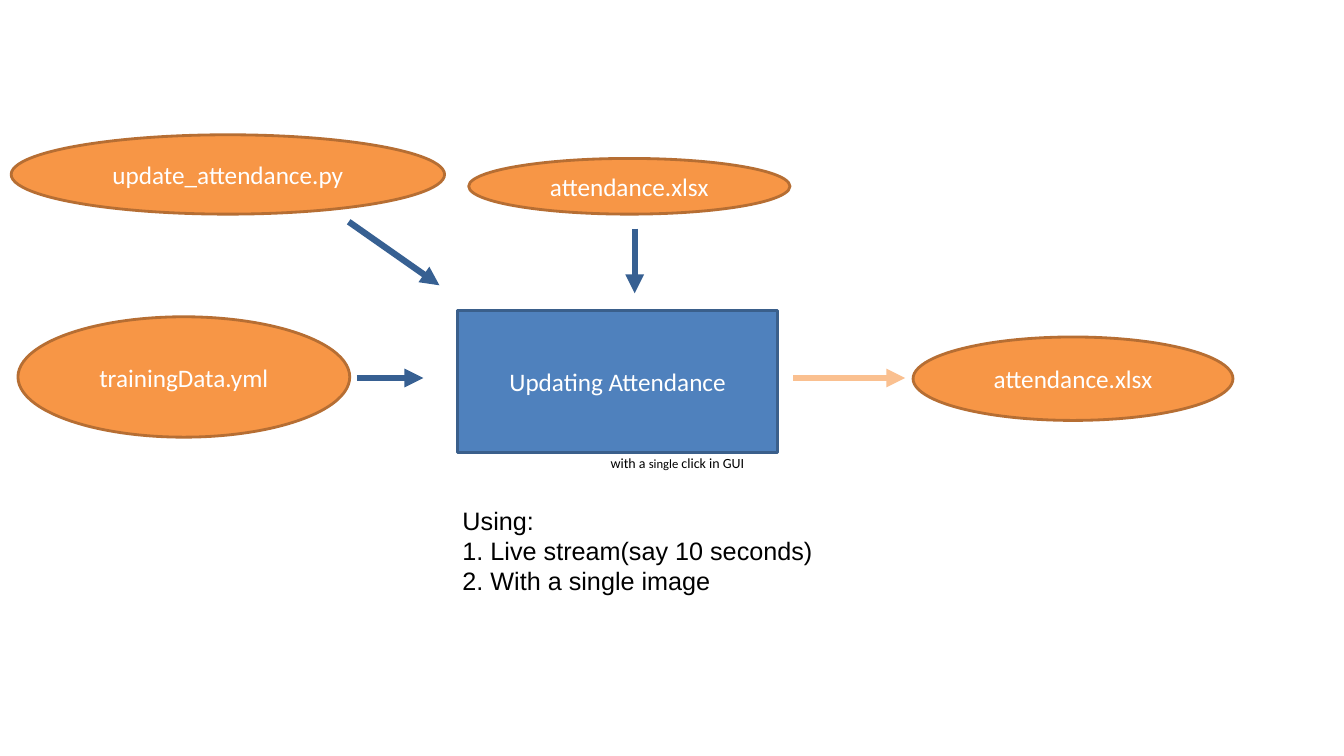
from lxml import etree
from pptx import Presentation
from pptx.dml.color import RGBColor
from pptx.enum.shapes import MSO_CONNECTOR, MSO_SHAPE
from pptx.enum.text import MSO_ANCHOR, PP_ALIGN
from pptx.oxml.ns import qn
from pptx.util import Pt

OVAL, RECTANGLE = MSO_SHAPE.OVAL, MSO_SHAPE.RECTANGLE
STRAIGHT = MSO_CONNECTOR.STRAIGHT
MIDDLE, CENTER = MSO_ANCHOR.MIDDLE, PP_ALIGN.CENTER

COLORS = {
    "file": "F79646",
    "file edge": "B66E33",
    "process": "4F81BD",
    "process edge": "3A5F8B",
    "input": "376092",
    "output": "FAC090",
    "light": "FFFFFF",
    "dark": "000000",
}


def color(name):
    return RGBColor.from_string(COLORS[name])


def format_span(span, font, size, color_name):
    span.font.name = font
    span.font.size = Pt(size)
    span.font.color.rgb = color(color_name)


deck = Presentation()
deck.slide_width = Pt(960)
deck.slide_height = Pt(540)
page = deck.slides.add_slide(deck.slide_layouts[6])

caption = page.shapes.add_textbox(Pt(429.1), Pt(321.1), Pt(137.5), Pt(18.7))
caption.text_frame.word_wrap = True
caption_para = caption.text_frame.paragraphs[0]
for words, size in [("with a ", 10), ("single", 9), (" click in GUI", 10)]:
    span = caption_para.add_run()
    span.text = words
    format_span(span, "Calibri", size, "dark")

nodes = [
    ("trainingData.yml", OVAL, "file", 12.8, 226.3, 237, 86),
    ("Updating Attendance", RECTANGLE, "process", 327, 222, 228.3, 101.5),
    ("update_attendance.py", OVAL, "file", 8, 96.3, 309.6, 56.7),
    ("attendance.xlsx", OVAL, "file", 334.8, 113.2, 229.5, 39.8),
    ("attendance.xlsx", OVAL, "file", 652.2, 240.7, 228.5, 59.6),
]
for label, outline, role, left, top, width, height in nodes:
    box = page.shapes.add_shape(outline, Pt(left), Pt(top), Pt(width), Pt(height))
    box.shadow.inherit = False
    box.fill.solid()
    box.fill.fore_color.rgb = color(role)
    box.line.color.rgb = color(role + " edge")
    box.line.width = Pt(2)
    box.text_frame.text = label
    box.text_frame.vertical_anchor = MIDDLE
    para = box.text_frame.paragraphs[0]
    para.alignment = CENTER
    format_span(para.runs[0], "Calibri", 18, "light")

arrows = [
    ("input", 453.4, 163.4, 453.4, 209.5),
    ("input", 249.1, 158.4, 313.9, 203.8),
    ("input", 254.9, 270, 302.4, 270),
    ("output", 566.6, 270, 646.6, 270),
]
for role, start_x, start_y, end_x, end_y in arrows:
    arrow = page.shapes.add_connector(
        STRAIGHT, Pt(start_x), Pt(start_y), Pt(end_x), Pt(end_y)
    )
    arrow.line.color.rgb = color(role)
    arrow.line.width = Pt(4.5)
    etree.SubElement(arrow.line._get_or_add_ln(), qn("a:tailEnd"), type="triangle")
    etree.SubElement(arrow._element.spPr, qn("a:effectLst"))

methods = page.shapes.add_textbox(Pt(323.3), Pt(357.1), Pt(269.3), Pt(67.7))
methods.text_frame.word_wrap = True
methods.text_frame.text = "Using:\n1. Live stream(say 10 seconds)\n2. With a single image"
for para in methods.text_frame.paragraphs:
    format_span(para.runs[0], "Arial", 18, "dark")

deck.save("out.pptx")
